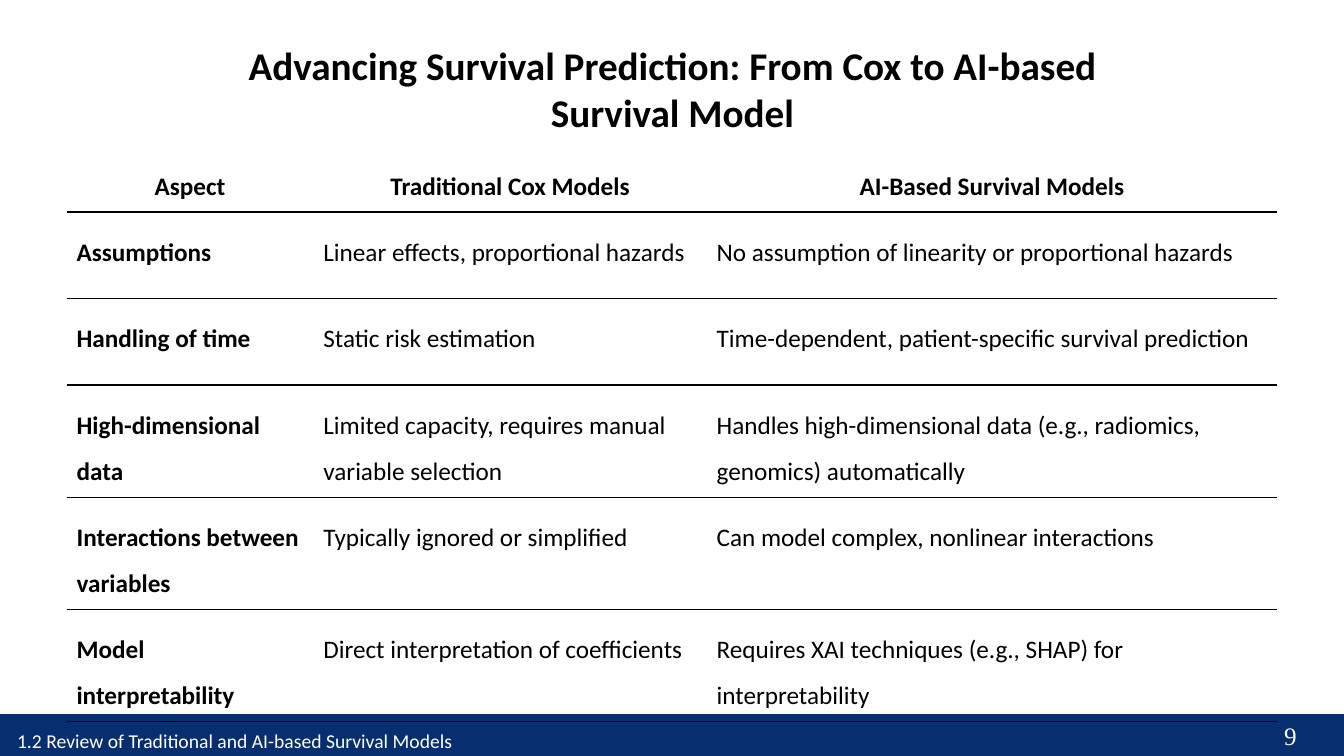
from lxml.etree import SubElement
from pptx import Presentation
from pptx.dml.color import RGBColor
from pptx.enum.shapes import MSO_SHAPE
from pptx.enum.text import MSO_ANCHOR, PP_ALIGN
from pptx.oxml import parse_xml
from pptx.oxml.ns import nsdecls
from pptx.util import Cm, Pt


def color(code):
    return RGBColor.from_string(code)


def write(frame, text, size=18, font="Calibri", ink="000000", bold=False,
          align=PP_ALIGN.LEFT, spacing=1, margin=0.25, anchor=MSO_ANCHOR.TOP):
    frame.word_wrap = True
    frame.vertical_anchor = anchor
    frame.margin_left = frame.margin_right = Cm(0.25)
    frame.margin_top = frame.margin_bottom = Cm(margin)
    para = frame.paragraphs[0]
    para.alignment = align
    para.line_spacing = spacing
    span = para.add_run()
    span.text = text
    span.font.size = Pt(size)
    span.font.name = font
    span.font.bold = bold
    span.font.color.rgb = color(ink)


deck = Presentation()
deck.slide_width = Cm(33.87)
deck.slide_height = Cm(19.05)
page = deck.slides.add_slide(deck.slide_layouts[6])

footer = page.shapes.add_shape(MSO_SHAPE.RECTANGLE, 0, Cm(18.03), deck.slide_width, Cm(1.02))
footer.shadow.inherit = False
footer.fill.solid()
footer.fill.fore_color.rgb = color("072F6F")
footer.line.color.rgb = color("072F6F")
footer.line.width = Pt(2)

comparison = [
    ("Aspect", "Traditional Cox Models", "AI-Based Survival Models"),
    ("Assumptions", "Linear effects, proportional hazards",
     "No assumption of linearity or proportional hazards"),
    ("Handling of time", "Static risk estimation",
     "Time-dependent, patient-specific survival prediction"),
    ("High-dimensional data", "Limited capacity, requires manual variable selection",
     "Handles high-dimensional data (e.g., radiomics, genomics) automatically"),
    ("Interactions between variables", "Typically ignored or simplified",
     "Can model complex, nonlinear interactions"),
    ("Model interpretability", "Direct interpretation of coefficients",
     "Requires XAI techniques (e.g., SHAP) for interpretability"),
]
widths = [6.22, 9.91, 14.38]
table = page.shapes.add_table(len(comparison), len(widths), Cm(1.68), Cm(3.68),
                              Cm(sum(widths)), Cm(12.37)).table
table.first_row = False
table.horz_banding = False
for column, width in zip(table.columns, widths):
    column.width = Cm(width)

for row, texts in enumerate(comparison):
    header = row == 0
    table.rows[row].height = Cm(1.47 if header else 2.18)
    top = {0: 0, 1: 2.25}.get(row, 1)
    bottom = 2.25 if header else 1
    for col, text in enumerate(texts):
        cell = table.cell(row, col)
        write(cell.text_frame, text, bold=header or col == 0, spacing=1.5,
              align=PP_ALIGN.CENTER if header else PP_ALIGN.LEFT)
        cell.margin_left = cell.margin_right = Cm(0.25)
        cell.margin_top = cell.margin_bottom = Cm(0.25)
        cell.fill.background()
        properties = cell._tc.get_or_add_tcPr()
        borders = [("lnL", 0), ("lnR", 0), ("lnT", top), ("lnB", bottom)]
        for place, (side, weight) in enumerate(borders):
            border = parse_xml(f'<a:{side} {nsdecls("a")} w="{Pt(weight)}"/>')
            namespace = "{" + border.nsmap["a"] + "}"
            if weight:
                paint = SubElement(border, namespace + "solidFill")
                SubElement(paint, namespace + "srgbClr", val="000000")
            else:
                SubElement(border, namespace + "noFill")
            properties.insert(place, border)

title = page.shapes.add_textbox(Cm(4.98), Cm(0.79), Cm(23.93), Cm(2.9))
write(title.text_frame, "Advancing Survival Prediction: From Cox to AI-based Survival Model",
      size=28, bold=True, align=PP_ALIGN.CENTER)

number = page.shapes.add_textbox(Cm(32.11), Cm(18.03), Cm(1.76), Cm(1.02))
write(number.text_frame, "9", font="Times New Roman", ink="FFFFFF", margin=0.13,
      anchor=MSO_ANCHOR.MIDDLE)

section = page.shapes.add_textbox(Cm(0.18), Cm(17.93), Cm(22.9), Cm(1.12))
write(section.text_frame, "1.2 Review of Traditional and AI-based Survival Models",
      size=14, ink="FFFFFF", spacing=1.5, margin=0.13)

deck.save("out.pptx")
